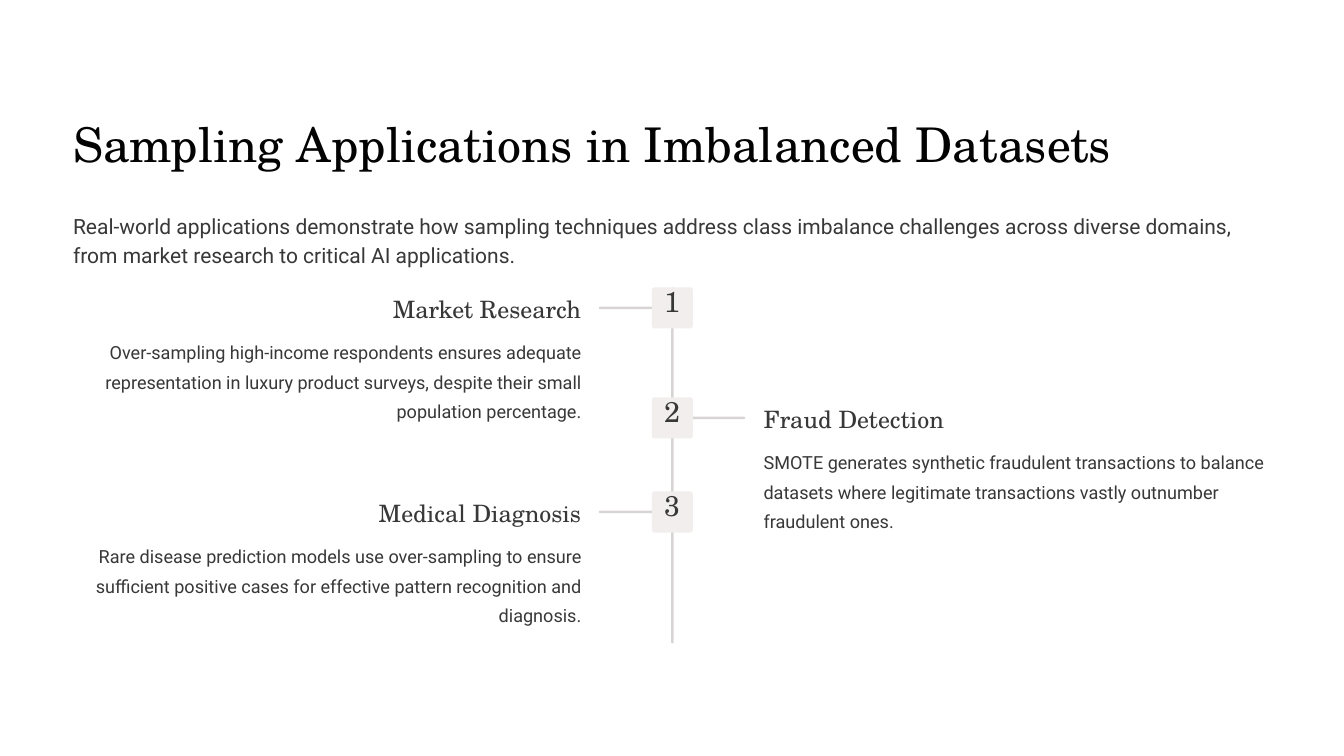
import pptx
import pptx.dml.color
import pptx.enum.shapes
import pptx.enum.text
import pptx.util

Inches = pptx.util.Inches
Pt = pptx.util.Pt
RGBColor = pptx.dml.color.RGBColor
Align = pptx.enum.text.PP_ALIGN

WHITE = RGBColor(0xFF, 0xFF, 0xFF)
BLACK = RGBColor(0x02, 0x02, 0x02)
DARK_GREY = RGBColor(0x38, 0x38, 0x38)
LINE_GREY = RGBColor(0xD8, 0xD4, 0xD4)
BADGE_GREY = RGBColor(0xF2, 0xEE, 0xEE)
SERIF = "TeX Gyre Schola"
SANS = "Roboto"

TITLE = "Sampling Applications in Imbalanced Datasets"
INTRO = (
    "Real-world applications demonstrate how sampling techniques address class "
    "imbalance challenges across diverse domains, from market research to "
    "critical AI applications."
)
APPLICATIONS = [
    (3.42, "Market Research",
     "Over-sampling high-income respondents ensures adequate representation in "
     "luxury product surveys, despite their small population percentage."),
    (4.73, "Fraud Detection",
     "SMOTE generates synthetic fraudulent transactions to balance datasets where "
     "legitimate transactions vastly outnumber fraudulent ones."),
    (5.85, "Medical Diagnosis",
     "Rare disease prediction models use over-sampling to ensure sufficient "
     "positive cases for effective pattern recognition and diagnosis."),
]


def add_text(slide, box, text, font, size, spacing, color=DARK_GREY,
             align=Align.LEFT):
    """Add a one-paragraph text box without margins."""
    shape = slide.shapes.add_textbox(*map(Inches, box))
    frame = shape.text_frame
    frame.margin_left = frame.margin_right = 0
    frame.margin_top = frame.margin_bottom = 0
    frame.word_wrap = True
    frame.text = text
    paragraph = frame.paragraphs[0]
    paragraph.alignment = align
    paragraph.line_spacing = Pt(spacing)
    run_font = paragraph.runs[0].font
    run_font.name = font
    run_font.size = Pt(size)
    run_font.color.rgb = color


def add_rounded(slide, box, color, rounding=0.5):
    """Add a borderless filled rounded rectangle."""
    kind = pptx.enum.shapes.MSO_SHAPE.ROUNDED_RECTANGLE
    shape = slide.shapes.add_shape(kind, *map(Inches, box))
    shape.adjustments[0] = rounding
    shape.shadow.inherit = False
    shape.fill.solid()
    shape.fill.fore_color.rgb = color
    shape.line.fill.background()


def add_application(slide, number, top, heading, description):
    """Add a timeline entry, odd numbers on the left and even on the right."""
    on_left = number % 2 == 1
    branch_left, heading_left, body_left, align = (
        (7.13, 4.07, 0.87, Align.RIGHT) if on_left
        else (8.22, 9.09, 9.09, Align.LEFT)
    )
    add_rounded(slide, (branch_left, top + 0.23, 0.65, 0.03), LINE_GREY)
    add_rounded(slide, (7.76, top, 0.49, 0.49), BADGE_GREY, 0.07)
    add_text(slide, (7.83, top + 0.03, 0.34, 0.43), str(number), SERIF,
             24.5, 24.5, align=Align.CENTER)
    add_text(slide, (heading_left, top + 0.07, 2.85, 0.36), heading, SERIF,
             20.5, 25.5, align=align)
    add_text(slide, (body_left, top + 0.56, 6.05, 1.04), description, SANS,
             15.5, 25, align=align)


def main():
    """Build the slide and save it."""
    presentation = pptx.Presentation()
    presentation.slide_width = Inches(16)
    presentation.slide_height = Inches(9)
    slide = presentation.slides.add_slide(presentation.slide_layouts[6])
    slide.background.fill.solid()
    slide.background.fill.fore_color.rgb = WHITE

    add_text(slide, (0.87, 1.34, 14.26, 0.71), TITLE, SERIF, 41, 51, BLACK)
    add_text(slide, (0.87, 2.49, 14.26, 0.69), INTRO, SANS, 18, 25)
    add_rounded(slide, (7.99, 3.42, 0.03, 4.24), LINE_GREY)
    for number, application in enumerate(APPLICATIONS, start=1):
        add_application(slide, number, *application)
    presentation.save("out.pptx")


if __name__ == "__main__":
    main()
